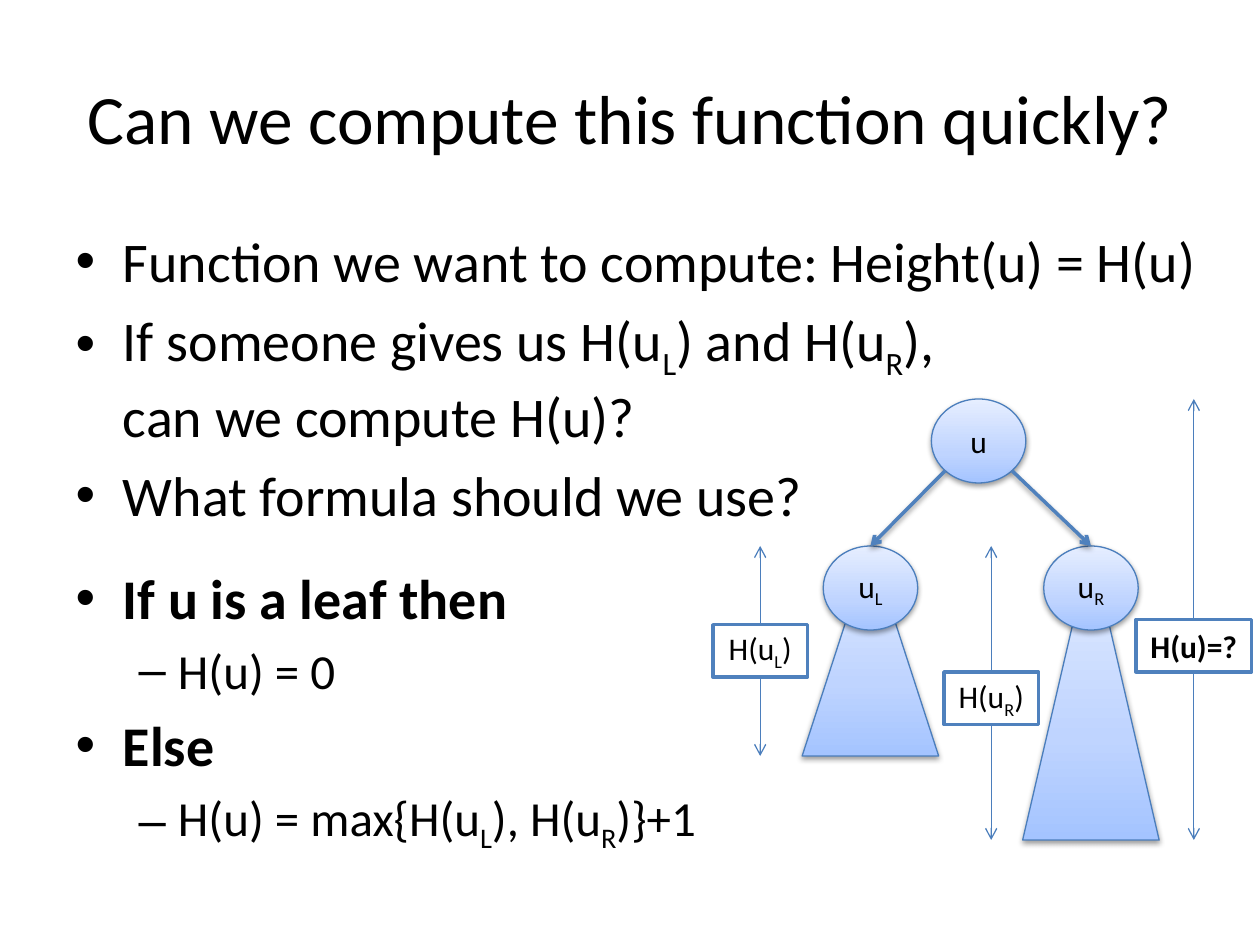
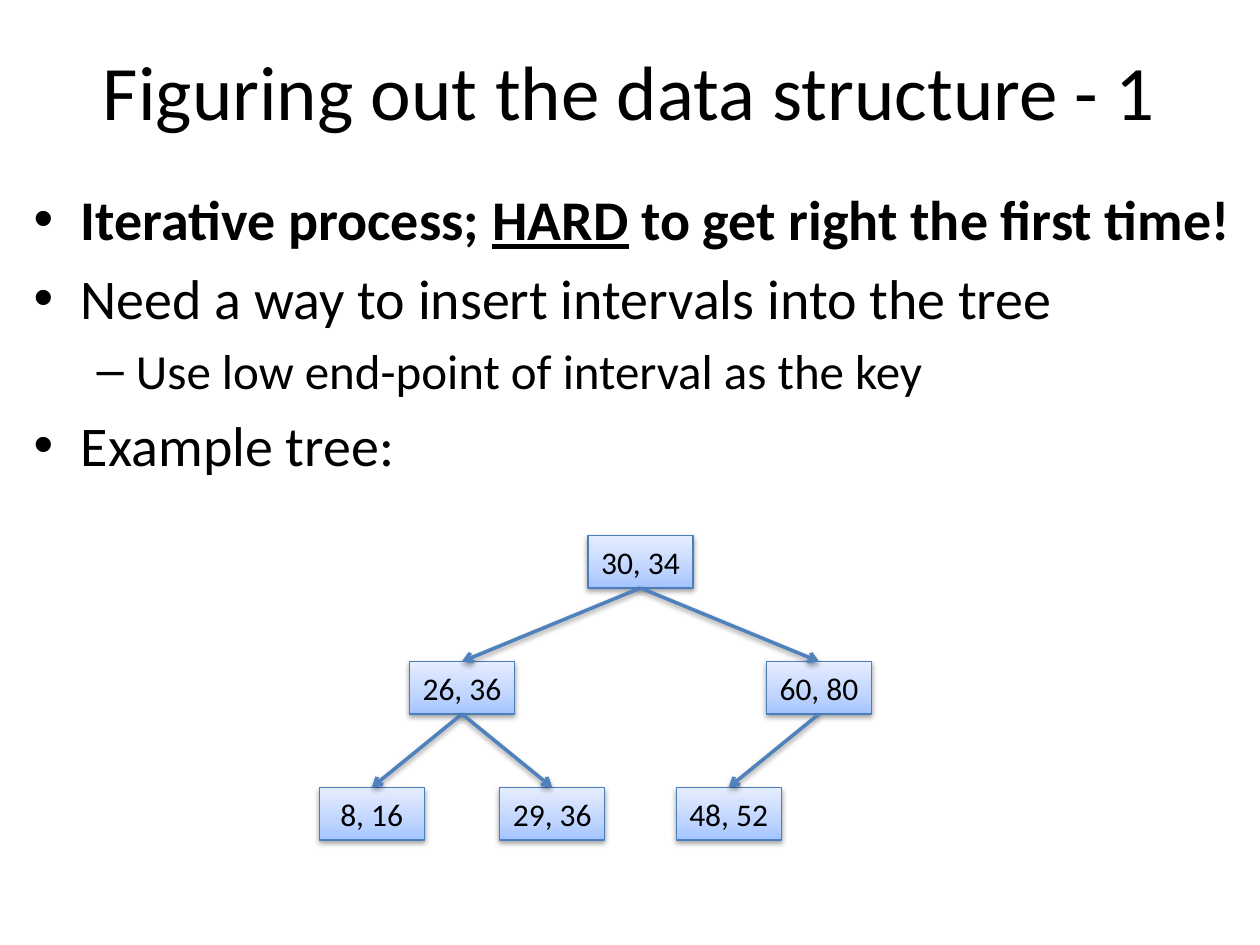
from dataclasses import dataclass
from math import sqrt
from typing import Optional

from pptx import Presentation
from pptx.dml.color import RGBColor
from pptx.enum.shapes import MSO_CONNECTOR, MSO_SHAPE
from pptx.enum.text import MSO_ANCHOR, MSO_AUTO_SIZE, PP_ALIGN
from pptx.oxml import parse_xml
from pptx.oxml.ns import nsdecls, qn
from pptx.util import Inches, Pt

BLACK = RGBColor(0x00, 0x00, 0x00)
WHITE = RGBColor(0xFF, 0xFF, 0xFF)
ACCENT = RGBColor(0x4F, 0x81, 0xBD)
OUTLINE = RGBColor(0x4B, 0x7E, 0xBC)
GRADIENT_STOPS = (
    (0, RGBColor(0xA4, 0xC4, 0xFF)),
    (35, RGBColor(0xBF, 0xD4, 0xFF)),
    (100, RGBColor(0xE6, 0xEE, 0xFF)),
)
FONT = "Calibri"
LEVEL_SIZES = (32, 28)
LABEL_SIZE = 18
THIN, THICK = 0.75, 2

# Slide and grid: 120 columns by 90 rows of square cells
presentation = Presentation()
presentation.slide_width = Inches(10)
presentation.slide_height = Inches(7.5)
CELL = presentation.slide_width / 120


def cells(count: float) -> int:
    return round(count * CELL)


@dataclass
class Box:
    left: float
    top: float
    width: float
    height: float

    def place(self, shape) -> None:
        shape.left, shape.top = cells(self.left), cells(self.top)
        shape.width, shape.height = cells(self.width), cells(self.height)


@dataclass
class Item:
    """A list entry; "_" before a character makes it a subscript."""
    text: str
    level: int = 0
    bold: bool = False
    underlined: str = ""
    space_before: Optional[float] = None


@dataclass
class Subtree:
    label: str
    center: float
    height: float


@dataclass
class Measure:
    label: str
    center: float
    top: float
    bottom: float
    label_top: float
    label_width: float = 9
    bold: bool = False


@dataclass
class Node:
    label: str
    left: Optional["Node"] = None
    right: Optional["Node"] = None


# Text
def add_run(paragraph, text: str, size: float, bold: bool = False,
            subscript: bool = False, underline: bool = False) -> None:
    if not text:
        return
    run = paragraph.add_run()
    run.text = text
    font = run.font
    font.name, font.size, font.bold = FONT, Pt(size), bold
    font.color.rgb = BLACK
    if underline:
        font.underline = True
    if subscript:
        run._r.get_or_add_rPr().set("baseline", "-25000")


def write(paragraph, text: str, size: float, bold: bool = False) -> None:
    """Write text with subscripts and line breaks."""
    for number, line in enumerate(text.split("\n")):
        if number:
            paragraph.add_line_break()
        plain, *marked = line.split("_")
        add_run(paragraph, plain, size, bold)
        for part in marked:
            add_run(paragraph, part[0], size, bold, subscript=True)
            add_run(paragraph, part[1:], size, bold)


def add_list_slide(title: str, title_size: float, title_box: Box,
                   items: list[Item], body_box: Box):
    slide = presentation.slides.add_slide(presentation.slide_layouts[1])
    heading, body = slide.placeholders
    title_box.place(heading)
    body_box.place(body)
    for placeholder in (heading, body):
        placeholder.text_frame.auto_size = MSO_AUTO_SIZE.NONE
        placeholder.text_frame.word_wrap = True
    heading.text_frame.vertical_anchor = MSO_ANCHOR.MIDDLE
    write(heading.text_frame.paragraphs[0], title, title_size)
    for number, item in enumerate(items):
        frame = body.text_frame
        paragraph = frame.add_paragraph() if number else frame.paragraphs[0]
        paragraph.level = item.level
        if item.space_before is not None:
            paragraph.space_before = Pt(item.space_before)
        size = LEVEL_SIZES[item.level]
        if item.underlined:
            before, word, after = item.text.partition(item.underlined)
            write(paragraph, before, size, item.bold)
            add_run(paragraph, word, size, item.bold, underline=True)
            write(paragraph, after, size, item.bold)
        else:
            write(paragraph, item.text, size, item.bold)
    return slide


# Shapes and lines
def effect_list(shadow: bool):
    outer = (
        '<a:outerShdw blurRad="40000" dist="20000" dir="5400000" rotWithShape="0">'
        '<a:srgbClr val="000000"><a:alpha val="38000"/></a:srgbClr></a:outerShdw>'
    )
    return parse_xml(f'<a:effectLst {nsdecls("a")}>{outer if shadow else ""}</a:effectLst>')


def gradient_fill():
    stops = "".join(
        f'<a:gs pos="{position * 1000}"><a:srgbClr val="{color}"/></a:gs>'
        for position, color in GRADIENT_STOPS
    )
    return parse_xml(
        f'<a:gradFill {nsdecls("a")} rotWithShape="1"><a:gsLst>{stops}</a:gsLst>'
        '<a:lin ang="16200000" scaled="0"/></a:gradFill>'
    )


def add_figure(slide, kind: MSO_SHAPE, box: Box, label: str = "",
               glossy: bool = True, bold: bool = False):
    """A glossy shape has a gradient and shadow; a plain one is white."""
    shape = slide.shapes.add_shape(kind, 0, 0, 0, 0)
    box.place(shape)
    shape.line.color.rgb = OUTLINE if glossy else ACCENT
    shape.line.width = Pt(THIN if glossy else THICK)
    properties = shape._element.spPr
    if glossy:
        properties.find(qn("a:prstGeom")).addnext(gradient_fill())
        properties.append(effect_list(shadow=True))
    else:
        shape.fill.solid()
        shape.fill.fore_color.rgb = WHITE
        shape.shadow.inherit = False
    if label:
        frame = shape.text_frame
        frame.margin_left = frame.margin_right = 0
        frame.margin_top = frame.margin_bottom = 0
        frame.word_wrap = True
        frame.vertical_anchor = MSO_ANCHOR.MIDDLE
        frame.paragraphs[0].alignment = PP_ALIGN.CENTER
        write(frame.paragraphs[0], label, LABEL_SIZE, bold)
    return shape


def add_arrow(slide, start: tuple[float, float], end: tuple[float, float],
              double: bool = False):
    """Thick shadowed branch, or a thin double-headed measure."""
    connector = slide.shapes.add_connector(
        MSO_CONNECTOR.STRAIGHT, *map(cells, start), *map(cells, end))
    connector.line.color.rgb = OUTLINE if double else ACCENT
    connector.line.width = Pt(THIN if double else THICK)
    properties = connector._element.spPr
    outline = properties.find(qn("a:ln"))
    for tag in ("headEnd", "tailEnd") if double else ("tailEnd",):
        outline.append(parse_xml(f'<a:{tag} {nsdecls("a")} type="arrow"/>'))
    properties.append(effect_list(shadow=not double))
    return connector


# Slide 1: height of a tree from its two subtrees
CIRCLE_WIDTH, CIRCLE_HEIGHT = 9, 8
TRIANGLE_WIDTH = 13
LABEL_HEIGHT = 5
ROOT_CENTER, ROOT_TOP, CHILD_TOP = 93.2, 38, 52


def add_circle(slide, label: str, center: float, top: float) -> None:
    box = Box(center - CIRCLE_WIDTH / 2, top, CIRCLE_WIDTH, CIRCLE_HEIGHT)
    add_figure(slide, MSO_SHAPE.OVAL, box, label)


height_slide = add_list_slide(
    "Can we compute this function quickly?", 39.6, Box(6, 3.6, 108, 15),
    [
        Item("Function we want to compute: Height(u) = H(u)"),
        Item("If someone gives us H(u_L) and H(u_R),\ncan we compute H(u)?"),
        Item("What formula should we use?"),
        Item("If u is a leaf then", bold=True, space_before=20.4),
        Item("H(u) = 0", level=1),
        Item("Else", bold=True),
        Item("H(u) = max{H(u_L), H(u_R)}+1", level=1),
    ],
    Box(6, 21, 110, 65),
)
subtrees = (Subtree("u_L", 82.9, 20), Subtree("u_R", 103.9, 28))
for subtree in subtrees:
    add_figure(height_slide, MSO_SHAPE.ISOSCELES_TRIANGLE,
               Box(subtree.center - TRIANGLE_WIDTH / 2, CHILD_TOP,
                   TRIANGLE_WIDTH, subtree.height))
    add_circle(height_slide, subtree.label, subtree.center, CHILD_TOP)
add_circle(height_slide, "u", ROOT_CENTER, ROOT_TOP)

# Branches leave the root circle at its lower diagonals
for subtree, side in zip(subtrees, (-1, 1)):
    start = (ROOT_CENTER + side * CIRCLE_WIDTH / 2 / sqrt(2),
             ROOT_TOP + CIRCLE_HEIGHT / 2 * (1 + 1 / sqrt(2)))
    add_arrow(height_slide, start, (subtree.center, CHILD_TOP))

for measure in (
    Measure("H(u_L)", 72.4, CHILD_TOP, 72, 59.5),
    Measure("H(u_R)", 94.4, CHILD_TOP, 80, 64),
    Measure("H(u)=?", 113.7, ROOT_TOP, 80, 59, label_width=11, bold=True),
):
    add_arrow(height_slide, (measure.center, measure.top),
              (measure.center, measure.bottom), double=True)
    add_figure(height_slide, MSO_SHAPE.RECTANGLE,
               Box(measure.center - measure.label_width / 2, measure.label_top,
                   measure.label_width, LABEL_HEIGHT),
               measure.label, glossy=False, bold=measure.bold)

# Slide 2: example interval tree
NODE_WIDTH, NODE_HEIGHT = 10, 5
TREE_TOP, LEVEL_STEP = 51, 12
SPREADS = (17, 8.6)


def add_tree(slide, node: Node, center: float, level: int = 0):
    """Draw a node, its subtrees and the arrows to them."""
    top = TREE_TOP + level * LEVEL_STEP
    parent = add_figure(slide, MSO_SHAPE.RECTANGLE,
                        Box(center - NODE_WIDTH / 2, top, NODE_WIDTH, NODE_HEIGHT),
                        node.label)
    for child, side in ((node.left, -1), (node.right, 1)):
        if child:
            child_center = center + side * SPREADS[level]
            child_shape = add_tree(slide, child, child_center, level + 1)
            arrow = add_arrow(slide, (center, top + NODE_HEIGHT),
                              (child_center, top + LEVEL_STEP))
            arrow.begin_connect(parent, 2)
            arrow.end_connect(child_shape, 0)
    return parent


structure_slide = add_list_slide(
    "Figuring out the data structure - 1", 44, Box(3, 1, 114, 15),
    [
        Item("Iterative process; HARD to get right the first time!",
             bold=True, underlined="HARD"),
        Item("Need a way to insert intervals into the tree"),
        Item("Use low end-point of interval as the key", level=1),
        Item("Example tree:"),
    ],
    Box(2, 17, 117, 71),
)
interval_tree = Node(
    "30, 34",
    left=Node("26, 36", left=Node("8, 16"), right=Node("29, 36")),
    right=Node("60, 80", left=Node("48, 52")),
)
add_tree(structure_slide, interval_tree, center=61)

presentation.save("out.pptx")
